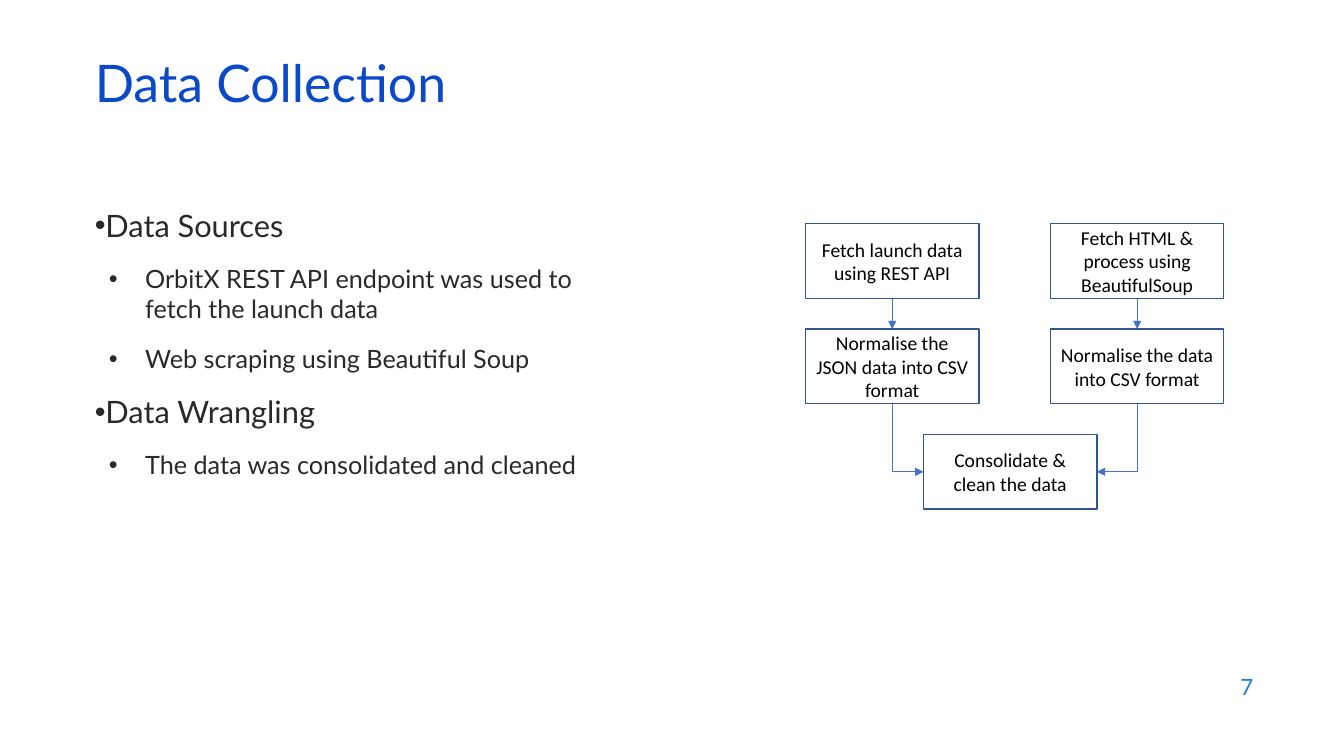
import dataclasses

import lxml.etree
import pptx
import pptx.dml.color
import pptx.enum.shapes
import pptx.enum.text
import pptx.oxml.ns
import pptx.util

GRID_COLUMNS = 160
GRID_ROWS = 90
SLIDE_WIDTH = pptx.util.Inches(13.33)
SLIDE_HEIGHT = pptx.util.Inches(7.5)
ALIGN = pptx.enum.text.PP_ALIGN
ANCHOR = pptx.enum.text.MSO_ANCHOR
CONNECTOR = pptx.enum.shapes.MSO_CONNECTOR


@dataclasses.dataclass(frozen=True)
class Theme:
    text_font: str = "Lato"
    flow_font: str = "Calibri"
    title_color: str = "0B49CB"
    body_color: str = "292929"
    number_color: str = "1C7DDB"
    flow_color: str = "000000"
    box_fill: str = "FFFFFF"
    box_line: str = "325491"
    arrow_color: str = "4472C4"
    title_size: float = 37
    level_sizes: tuple = (22, 18)
    number_size: float = 16
    flow_size: float = 14
    paragraph_gap: float = 14
    box_line_width: float = 1
    arrow_width: float = 0.5


@dataclasses.dataclass(frozen=True)
class Box:
    column: float
    row: float
    columns: float
    rows: float

    def inside(self, column, row, columns, rows):
        return Box(self.column + column, self.row + row, columns, rows)

    def bounds(self):
        return (
            int(SLIDE_WIDTH * self.column / GRID_COLUMNS),
            int(SLIDE_HEIGHT * self.row / GRID_ROWS),
            int(SLIDE_WIDTH * self.columns / GRID_COLUMNS),
            int(SLIDE_HEIGHT * self.rows / GRID_ROWS),
        )


THEME = Theme()


def rgb(color):
    return pptx.dml.color.RGBColor.from_string(color)


def add_element(parent, tag, **attributes):
    return lxml.etree.SubElement(parent, pptx.oxml.ns.qn(tag), attributes)


def place(shape, box):
    shape.left, shape.top, shape.width, shape.height = box.bounds()


def prepare_frame(shape, anchor):
    frame = shape.text_frame
    frame.word_wrap = True
    frame.auto_size = pptx.enum.text.MSO_AUTO_SIZE.NONE
    frame.vertical_anchor = anchor
    return frame


def format_paragraph(paragraph, font, size, color, alignment):
    paragraph.alignment = alignment
    for run in paragraph.runs:
        run.font.name = font
        run.font.size = pptx.util.Pt(size)
        run.font.color.rgb = rgb(color)


def fill_title(slide, box, text):
    title = slide.shapes.title
    place(title, box)
    frame = prepare_frame(title, ANCHOR.MIDDLE)
    frame.text = text
    paragraph = frame.paragraphs[0]
    paragraph.line_spacing = 0.7
    format_paragraph(paragraph, THEME.text_font, THEME.title_size, THEME.title_color, ALIGN.LEFT)


def fill_body(slide, box, items):
    body = slide.placeholders[1]
    place(body, box)
    frame = prepare_frame(body, ANCHOR.TOP)
    frame.text = "\n".join(text for level, text in items)
    indents = ((0, 0), (0.5, -0.36))
    for index, (paragraph, (level, text)) in enumerate(zip(frame.paragraphs, items)):
        paragraph.level = level
        paragraph.space_before = pptx.util.Pt(THEME.paragraph_gap if index else 0)
        properties = paragraph._p.get_or_add_pPr()
        margin, indent = indents[level]
        properties.set("marL", str(pptx.util.Inches(margin)))
        properties.set("indent", str(pptx.util.Inches(indent)))
        add_element(properties, "a:buFont", typeface="Arial")
        add_element(properties, "a:buChar", char="•")
        format_paragraph(
            paragraph, THEME.text_font, THEME.level_sizes[level], THEME.body_color, ALIGN.LEFT
        )


def add_slide_number(slide, box, text):
    frame = prepare_frame(slide.shapes.add_textbox(*box.bounds()), ANCHOR.MIDDLE)
    frame.text = text
    format_paragraph(
        frame.paragraphs[0], THEME.text_font, THEME.number_size, THEME.number_color, ALIGN.RIGHT
    )


def add_step(slide, box, text):
    step = slide.shapes.add_shape(pptx.enum.shapes.MSO_SHAPE.RECTANGLE, *box.bounds())
    step.shadow.inherit = False
    step.fill.solid()
    step.fill.fore_color.rgb = rgb(THEME.box_fill)
    step.line.color.rgb = rgb(THEME.box_line)
    step.line.width = pptx.util.Pt(THEME.box_line_width)
    frame = prepare_frame(step, ANCHOR.MIDDLE)
    frame.text = text
    format_paragraph(
        frame.paragraphs[0], THEME.flow_font, THEME.flow_size, THEME.flow_color, ALIGN.CENTER
    )
    return step


def style_arrow(connector):
    connector.line.color.rgb = rgb(THEME.arrow_color)
    connector.line.width = pptx.util.Pt(THEME.arrow_width)
    add_element(connector.line._get_or_add_ln(), "a:tailEnd", type="triangle")
    add_element(connector._element.spPr, "a:effectLst")


def add_down_arrow(slide, upper, lower):
    connector = slide.shapes.add_connector(CONNECTOR.STRAIGHT, 0, 0, 0, 0)
    connector.begin_connect(upper, 2)
    connector.end_connect(lower, 0)
    style_arrow(connector)


def add_elbow_arrow(slide, source, target):
    start_x = source.left + source.width // 2
    start_y = source.top + source.height
    from_left = start_x < target.left
    end_x = target.left if from_left else target.left + target.width
    end_y = target.top + target.height // 2
    drop, run = end_y - start_y, abs(end_x - start_x)
    left = (start_x + end_x - drop) // 2
    top = (start_y + end_y - run) // 2
    sides = (left + drop, left) if from_left else (left, left + drop)
    connector = slide.shapes.add_connector(CONNECTOR.ELBOW, sides[0], top, sides[1], top + run)
    properties = connector._element.spPr
    properties.find(pptx.oxml.ns.qn("a:prstGeom")).set("prst", "bentConnector2")
    quarter_turn = 90 * 60000
    turns = 3 if from_left else 1
    properties.find(pptx.oxml.ns.qn("a:xfrm")).set("rot", str(turns * quarter_turn))
    style_arrow(connector)


def add_flow(slide, box, branches, merge_text):
    step_columns, step_rows = 20.64, 8.9
    row_pitch = 12.54
    column_pitch = box.columns - step_columns
    merge_box = box.inside(14.04, 2 * row_pitch, step_columns, step_rows)
    merge = add_step(slide, merge_box, merge_text)
    for column, texts in enumerate(branches):
        upper, lower = [
            add_step(
                slide,
                box.inside(column * column_pitch, row * row_pitch, step_columns, step_rows),
                text,
            )
            for row, text in enumerate(texts)
        ]
        add_down_arrow(slide, upper, lower)
        add_elbow_arrow(slide, lower, merge)


def main():
    presentation = pptx.Presentation()
    presentation.slide_width = SLIDE_WIDTH
    presentation.slide_height = SLIDE_HEIGHT
    slide = presentation.slides.add_slide(presentation.slide_layouts[1])
    fill_title(slide, Box(10.08, 7.08, 138, 7.2), "Data Collection")
    fill_body(slide, Box(10.08, 24, 62.3, 57.12), (
        (0, "Data Sources"),
        (1, "OrbitX REST API endpoint was used to fetch the launch data"),
        (1, "Web scraping using Beautiful Soup"),
        (0, "Data Wrangling"),
        (1, "The data was consolidated and cleaned"),
    ))
    add_flow(slide, Box(95.9, 26.64, 49.8, 33.98), (
        ("Fetch launch data using REST API", "Normalise the JSON data into CSV format"),
        ("Fetch HTML & process using BeautifulSoup", "Normalise the data into CSV format"),
    ), "Consolidate & clean the data")
    add_slide_number(slide, Box(114.4, 79.08, 36, 5.28), "7")
    presentation.save("out.pptx")


if __name__ == "__main__":
    main()
